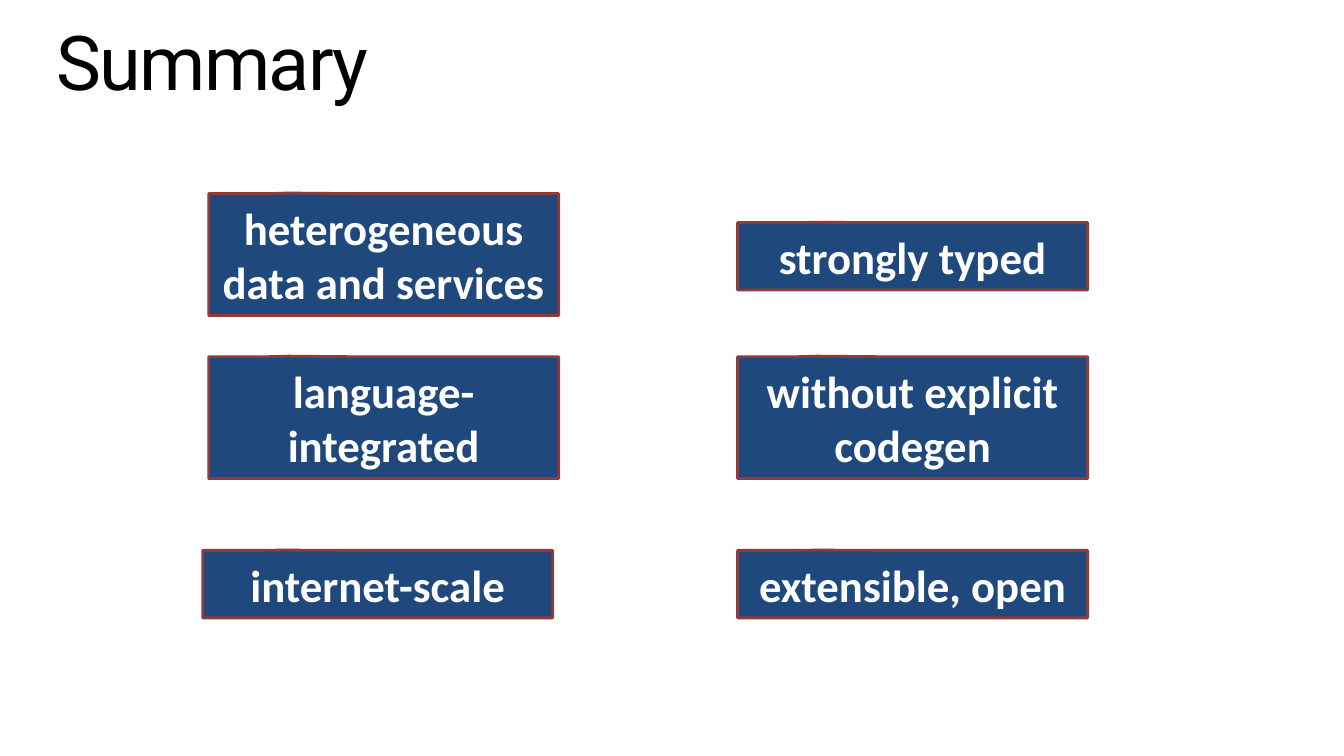
from pptx import Presentation
from pptx.dml.color import RGBColor
from pptx.enum.shapes import MSO_SHAPE
from pptx.enum.text import MSO_ANCHOR, PP_ALIGN
from pptx.util import Cm, Pt

BLACK = RGBColor(0x00, 0x00, 0x00)
WHITE = RGBColor(0xFF, 0xFF, 0xFF)
NAVY = RGBColor(0x1F, 0x49, 0x7D)
BRICK = RGBColor(0x8E, 0x3B, 0x39)

# Callout heights for one and two lines of text
ONE_LINE, TWO_LINES = 1.7, 3.07


def write_text(shape, text, *, font, size, color, bold=False, align=PP_ALIGN.LEFT,
               anchor=MSO_ANCHOR.TOP, inset=(0, 0), line_spacing=1.0, tracking=0):
    frame = shape.text_frame
    frame.word_wrap = True
    frame.vertical_anchor = anchor
    frame.margin_left = frame.margin_right = Cm(inset[0])
    frame.margin_top = frame.margin_bottom = Cm(inset[1])
    paragraph = frame.paragraphs[0]
    paragraph.alignment = align
    paragraph.line_spacing = line_spacing
    run = paragraph.add_run()
    run.text = text
    run.font.name = font
    run.font.size = Pt(size)
    run.font.bold = bold
    run.font.color.rgb = color
    if tracking:
        run.font._element.set("spc", str(round(tracking * 100)))


def add_title(slide, text, left, top, width, height):
    title = slide.shapes.title
    title.left, title.top = Cm(left), Cm(top)
    title.width, title.height = Cm(width), Cm(height)
    write_text(title, text, font="Roboto", size=54, color=BLACK,
               line_spacing=0.9, tracking=-1.2)


def add_callout(slide, text, left, top, width, height):
    callout = slide.shapes.add_shape(MSO_SHAPE.RECTANGULAR_CALLOUT,
                                     Cm(left), Cm(top), Cm(width), Cm(height))
    callout.adjustments[0] = -0.273
    callout.adjustments[1] = -0.505
    callout.shadow.inherit = False
    callout.fill.solid()
    callout.fill.fore_color.rgb = NAVY
    callout.line.color.rgb = BRICK
    callout.line.width = Pt(2)
    write_text(callout, text, font="Calibri", size=32, color=WHITE, bold=True,
               align=PP_ALIGN.CENTER, anchor=MSO_ANCHOR.MIDDLE, inset=(0.32, 0.18))


def add_callout_column(slide, callouts, left, top, width):
    """Each callout is its text, its shift from the column's corner and its height."""
    for text, shift_x, shift_y, height in callouts:
        add_callout(slide, text, left + shift_x, top + shift_y, width, height)


def build_summary(presentation):
    slide = presentation.slides.add_slide(presentation.slide_layouts[5])
    add_title(slide, "Summary", 1.42, 0.64, 31.04, 2.08)

    # Left column
    add_callout_column(slide, [
        ("heterogeneous data and services", 0, 0, TWO_LINES),
        ("language-integrated", 0, 4.11, TWO_LINES),
        ("internet-scale", -0.15, 8.99, ONE_LINE),
    ], left=5.26, top=4.88, width=8.82)

    # Right column
    add_callout_column(slide, [
        ("strongly typed", 0, 0.73, ONE_LINE),
        ("without explicit codegen", 0, 4.11, TWO_LINES),
        ("extensible, open", 0, 8.99, ONE_LINE),
    ], left=18.59, top=4.88, width=8.82)


def main():
    presentation = Presentation()
    presentation.slide_width, presentation.slide_height = Cm(33.87), Cm(19.05)
    build_summary(presentation)
    presentation.save("out.pptx")


if __name__ == "__main__":
    main()
